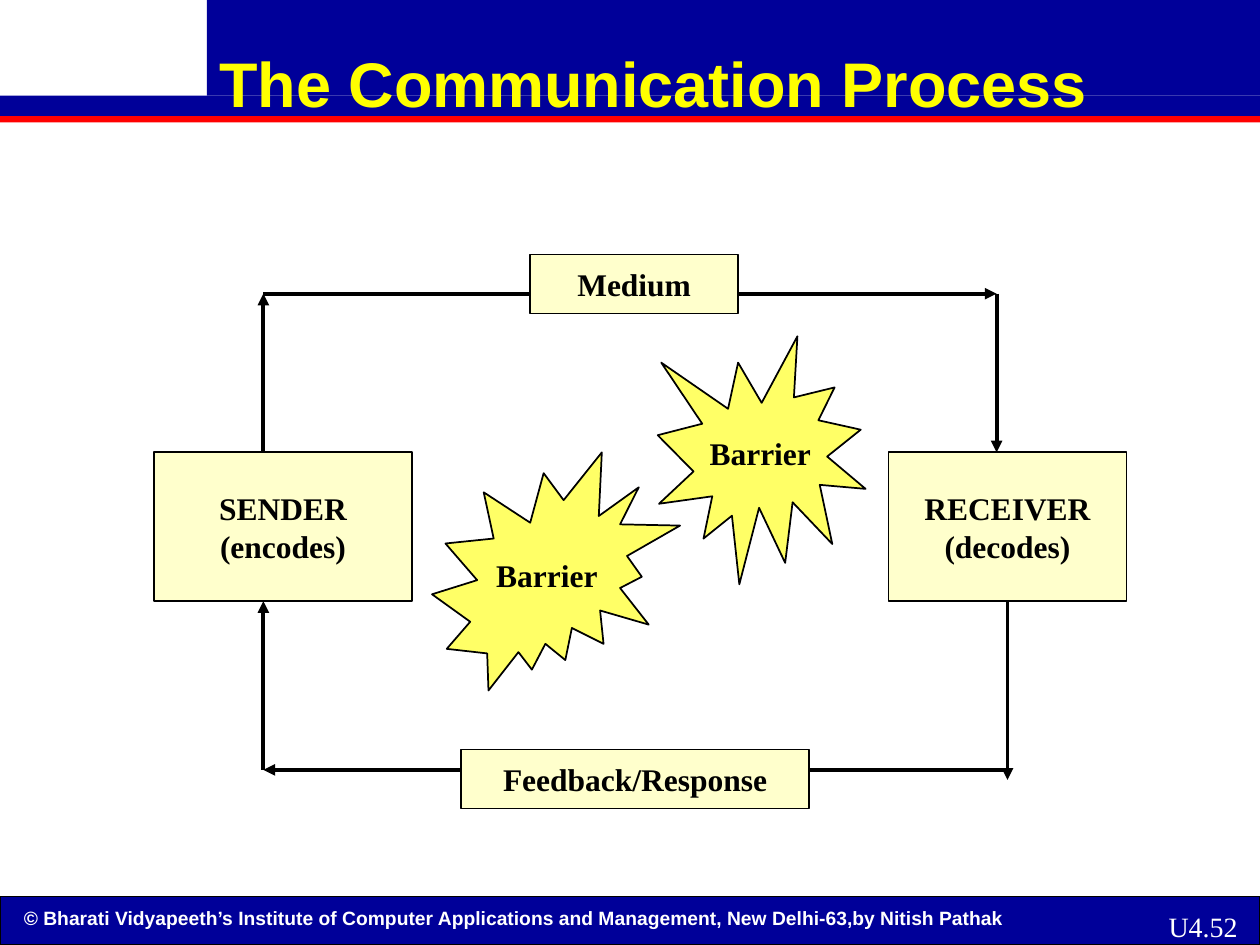
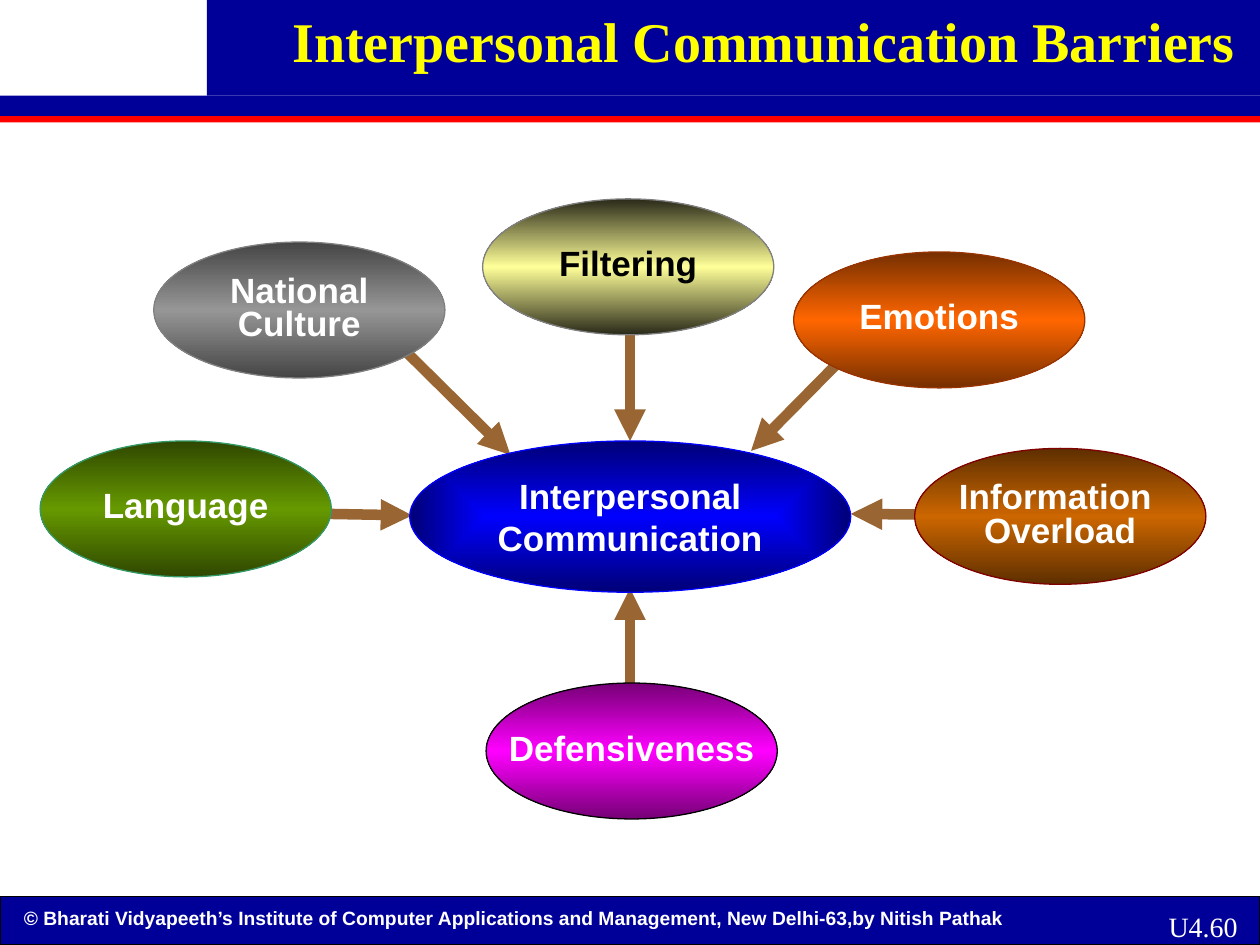
"""Build two slides on communication: its process and its barriers."""
from dataclasses import dataclass

from lxml import etree
from pptx import Presentation
from pptx import util as u
from pptx.dml.color import RGBColor
from pptx.enum import shapes as sh, text as tx
from pptx.oxml import ns

NAVY, RED, GOLD = "000099", "FF0000", "FFFF00"
WHITE, BLACK, BROWN = "FFFFFF", "000000", "996633"
CREAM, LEMON = "FFFFCC", "FFFF66"
SANS, SERIF = "Arial", "Times New Roman"
MID, TOP = tx.MSO_ANCHOR.MIDDLE, tx.MSO_ANCHOR.TOP
LEFT, MIDST, RIGHT = tx.PP_ALIGN.LEFT, tx.PP_ALIGN.CENTER, tx.PP_ALIGN.RIGHT
RECT, OVAL = sh.MSO_SHAPE.RECTANGLE, sh.MSO_SHAPE.OVAL
WIDE, HIGH = 25.4, 19.05
CREDIT = ("© Bharati Vidyapeeth’s Institute of Computer Applications "
          "and Management, New Delhi-63,by Nitish Pathak")


@dataclass
class Band:
    """A plain filled strip of the frame."""
    box: tuple
    fill: str
    edge: str = ""


@dataclass
class Node:
    """A labelled shape of the process."""
    text: str
    box: tuple
    kind: int = RECT
    fill: str = CREAM


@dataclass
class Cause:
    """An oval that names one barrier, and the arrow it sends to the hub."""
    text: str
    spot: tuple
    dark: str
    light: str
    edge: str
    start: tuple
    tip: tuple
    ink: str = WHITE


BANDS = [
    Band((0, 2.34, WIDE, 0.13), RED),
    Band((4.17, 0, 21.23, 1.93), NAVY),
    Band((0, 1.93, WIDE, 0.41), NAVY),
    Band((0, 18.08, WIDE, 0.97), NAVY, BLACK),
]

SENDER = Node("SENDER\n(encodes)", (3.1, 9.12, 5.21, 3))
TAKER = Node("RECEIVER\n(decodes)", (17.91, 9.12, 4.8, 3))
BURSTS = [
    Node("Barrier", (8.71, 9.12, 5, 4.8), sh.MSO_SHAPE.EXPLOSION2, LEMON),
    Node("Barrier", (13.26, 6.78, 4.19, 5), sh.MSO_SHAPE.EXPLOSION1, LEMON),
]
LABELS = [
    Node("Medium", (10.69, 5.13, 4.19, 1.19)),
    Node("Feedback/Response", (9.3, 15.11, 7.01, 1.19)),
]

OVAL_SIZE = (5.87, 2.74)
HUB = (8.26, 8.89, 8.89, 3.05)
CAUSES = [
    Cause("Defensiveness", (9.8, 13.77), "760076", "FF00FF", BLACK,
          (12.7, 14.81), (12.7, 11.86)),
    Cause("National\vCulture", (3.1, 4.88), "454545", "969696", "808080",
          (7.72, 6.63), (10.29, 9.17)),
    Cause("Emotions", (16, 5.08), "762F00", "FF6600", "993300",
          (17.37, 6.83), (15.14, 9.09)),
    Cause("Information \vOverload", (18.44, 9.04), "5E2F00", "CC6600",
          "800000", (20.42, 10.39), (17.15, 10.36)),
    Cause("Language", (0.81, 8.89), "2F4700", "669900", "339966",
          (5.51, 10.34), (8.31, 10.39)),
    Cause("Filtering", (9.73, 4.01), "292919", "FFFF99", "808080",
          (12.7, 5.92), (12.7, 8.89), BLACK),
]


def paint(fill, tone: str) -> None:
    """Fill with one solid colour."""
    fill.solid()
    fill.fore_color.rgb = RGBColor.from_string(tone)


def blend(shape, tones: tuple, core: bool = False) -> None:
    """Fill with evenly spaced colours, downwards or out from the core."""
    shape.fill.gradient()
    grad = shape._element.spPr.find(ns.qn("a:gradFill"))
    for part in list(grad):
        grad.remove(part)
    stops = etree.SubElement(grad, ns.qn("a:gsLst"))
    for i, tone in enumerate(tones):
        place = str(100000 * i // (len(tones) - 1))
        stop = etree.SubElement(stops, ns.qn("a:gs"), pos=place)
        etree.SubElement(stop, ns.qn("a:srgbClr"), val=tone)
    if core:
        way = etree.SubElement(grad, ns.qn("a:path"), path="rect")
        half = dict.fromkeys("ltrb", "50000")
        etree.SubElement(way, ns.qn("a:fillToRect"), **half)
    else:
        etree.SubElement(grad, ns.qn("a:lin"), ang="5400000", scaled="1")


def write(shape, words: str, *, size: float, face: str = SANS,
          ink: str = WHITE, bold: bool = True, align=MIDST, anchor=MID,
          wrap: bool = False, lead: float = 1, inset: float = 0.25) -> None:
    """Put formatted text into a shape, one paragraph a line."""
    frame = shape.text_frame
    frame.auto_size = tx.MSO_AUTO_SIZE.NONE
    frame.word_wrap = wrap
    frame.vertical_anchor = anchor
    frame.margin_left, frame.margin_right = u.Cm(inset), u.Cm(0.25)
    frame.margin_top = frame.margin_bottom = u.Cm(0.13)
    frame.text = words
    for para in frame.paragraphs:
        para.alignment = align
        para.line_spacing = lead
        for run in para.runs:
            run.font.size, run.font.name = u.Pt(size), face
            run.font.bold = bold
            run.font.color.rgb = RGBColor.from_string(ink)


def place(shape, box: tuple) -> None:
    """Move and size a shape."""
    shape.left, shape.top, shape.width, shape.height = map(u.Cm, box)


def draw(slide, box: tuple, kind=RECT, fill: str = "", edge: str = "",
         width: float = 0.75):
    """Add a preset shape with no shadow."""
    shape = slide.shapes.add_shape(kind, *map(u.Cm, box))
    shape.shadow.inherit = False
    if fill:
        paint(shape.fill, fill)
    if edge:
        paint(shape.line.fill, edge)
        shape.line.width = u.Pt(width)
    else:
        shape.line.fill.background()
    return shape


def arrow(slide, start: tuple, tip: tuple, tone: str = BLACK,
          width: float = 2.25):
    """Add a straight arrow that points at its tip."""
    line = slide.shapes.add_connector(
        sh.MSO_CONNECTOR.STRAIGHT, *map(u.Cm, start + tip))
    paint(line.line.fill, tone)
    line.line.width = u.Pt(width)
    etree.SubElement(line.line._get_or_add_ln(), ns.qn("a:tailEnd"),
                     type="triangle")
    etree.SubElement(line._element.spPr, ns.qn("a:effectLst"))
    return line


def start(deck, title: str, page: str, box: tuple, **look):
    """Add a slide with its bands, footer and title."""
    slide = deck.slides.add_slide(deck.slide_layouts[5])
    for band in BANDS:
        draw(slide, band.box, fill=band.fill, edge=band.edge)
    note = slide.shapes.add_textbox(*map(u.Cm, (0.23, 18.14, 23.37, 0.74)))
    write(note, CREDIT, size=11, align=LEFT, anchor=TOP, wrap=True)
    mark = slide.shapes.add_textbox(*map(u.Cm, (22.66, 18.21, 2.54, 0.84)))
    write(mark, page, size=16, face=SERIF, bold=False, align=RIGHT,
          anchor=TOP, wrap=True)
    head = slide.shapes.title
    slide.shapes._spTree.append(head._element)
    place(head, box)
    write(head, title, ink=GOLD, wrap=True, **look)
    return slide


def node(slide, item: Node):
    """Draw one labelled shape of the process."""
    shape = draw(slide, item.box, item.kind, item.fill, BLACK, 1)
    write(shape, item.text, size=18, face=SERIF, ink=BLACK)
    return shape


def process(deck) -> None:
    """Build the loop from sender to receiver and back."""
    slide = start(deck, "The Communication Process", "U4.52",
                  (3.86, 1.07, 18.62, 1.19), size=36)
    node(slide, SENDER)
    taker = node(slide, TAKER)
    for burst in BURSTS:
        node(slide, burst)
    west, east, north, south = 5.31, 20.09, 5.92, 15.52
    roof, base = 9.12, 12.12
    back = 20.31
    arrow(slide, (west, roof), (west, north))
    arrow(slide, (east, north), (east, roof))
    arrow(slide, (west, north), (east, north))
    arrow(slide, (back, base), (back, 15.72)).begin_connect(taker, 2)
    arrow(slide, (west, south), (west, base))
    arrow(slide, (back, south), (west, south))
    for label in LABELS:
        node(slide, label)


def barriers(deck) -> None:
    """Build the hub and the ovals that point at it."""
    slide = start(deck, "Interpersonal Communication Barriers", "U4.60",
                  (4.29, 0, 21.11, 2.01), size=32, face=SERIF, anchor=TOP,
                  inset=1.37)
    for cause in CAUSES:
        arrow(slide, cause.start, cause.tip, BROWN, 6)
    hub = draw(slide, HUB, OVAL, edge="0000FF")
    blend(hub, ("0000FF", "000076"), core=True)
    write(hub, "Interpersonal Communication", size=20, wrap=True)
    for cause in CAUSES:
        oval = draw(slide, cause.spot + OVAL_SIZE, OVAL, edge=cause.edge)
        blend(oval, (cause.dark, cause.light, cause.dark))
        write(oval, cause.text, size=20, ink=cause.ink, lead=0.8)


def main() -> None:
    """Build and save the deck."""
    deck = Presentation()
    deck.slide_width, deck.slide_height = u.Cm(WIDE), u.Cm(HIGH)
    process(deck)
    barriers(deck)
    deck.save("out.pptx")


if __name__ == "__main__":
    main()
